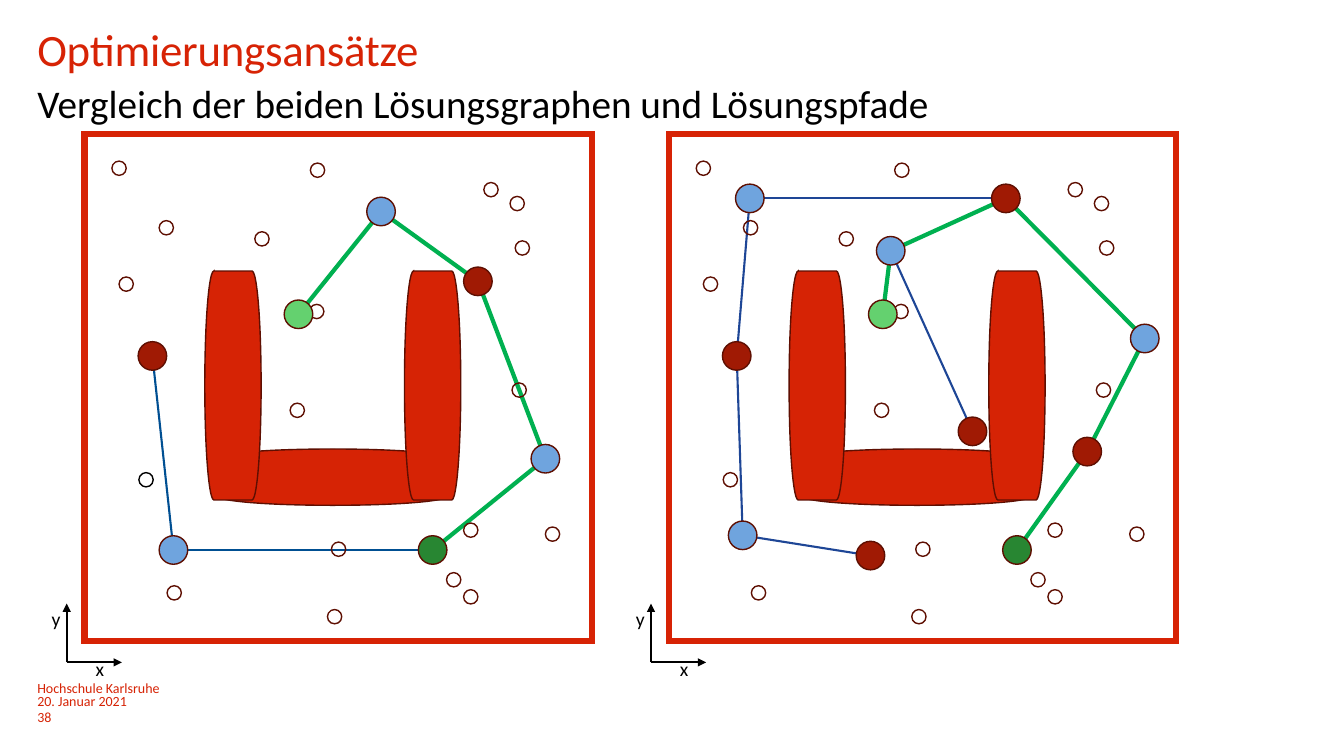
import pptx
import pptx.util
import pptx.dml.color
import pptx.enum.shapes
import pptx.enum.text
import pptx.oxml.ns
import lxml.etree
from pptx.util import Cm

SHAPE = pptx.enum.shapes.MSO_SHAPE
RED, OUTLINE, BLACK = "D62305", "5E0F02", "000000"
BLUE, DARK, START, GOAL = "6FA4DE", "A01A04", "64D16F", "288632"
PATH_GREEN = "00B050"

deck = pptx.Presentation()
deck.slide_width, deck.slide_height = pptx.util.Inches(13.33), pptx.util.Inches(7.5)
page = deck.slides.add_slide(deck.slide_layouts[1])


def color(value):
    return pptx.dml.color.RGBColor.from_string(value)


def write(box, place, text, size, text_color, line_spacing=None):
    box.left, box.top, box.width, box.height = [Cm(length) for length in place]
    frame = box.text_frame
    frame.text = text
    frame.word_wrap = True
    frame.auto_size = pptx.enum.text.MSO_AUTO_SIZE.NONE
    frame.vertical_anchor = pptx.enum.text.MSO_ANCHOR.TOP
    frame.margin_left = frame.margin_top = frame.margin_right = frame.margin_bottom = 0
    para = frame.paragraphs[0]
    properties = para._p.get_or_add_pPr()
    properties.set("marL", "0")
    properties.set("indent", "0")
    lxml.etree.SubElement(properties, pptx.oxml.ns.qn("a:buNone"))
    para.alignment = pptx.enum.text.PP_ALIGN.LEFT
    para.space_before = pptx.util.Pt(0)
    if line_spacing:
        para.line_spacing = pptx.util.Pt(line_spacing)
    para.font.name = "Calibri"
    para.font.size = pptx.util.Pt(size)
    para.font.color.rgb = color(text_color)


# Title with slightly tight letters, subtitle and footer
title = page.shapes.title
write(title, (0.94, 0.84, 30.3, 1.1), "Optimierungsansätze", 32, "D72305", 30)
title.text_frame.paragraphs[0].runs[0]._r.get_or_add_rPr().set("spc", "-20")
write(page.placeholders[1], (0.94, 2.01, 24.77, 1.2),
      "Vergleich der beiden Lösungsgraphen und Lösungspfade", 28, BLACK)
footer = [("Hochschule Karlsruhe", 17.12), ("20. Januar 2021", 17.46), ("38", 17.86)]
for text, top in footer:
    write(page.shapes.add_textbox(0, 0, 0, 0), (0.94, top, 7.62, 0.38), text, 10, RED)

# Sampled points, the same in both panels (centres in cm)
samples = [
    (4.19, 5.74), (13.08, 9.83), (7.49, 10.34), (7.98, 7.85), (13.16, 6.25),
    (3.68, 12.09), (11.43, 14.61), (13.92, 13.46), (11.86, 15.04), (8.43, 15.54),
    (4.39, 14.94), (8.53, 13.84), (6.6, 6.02), (8, 4.29), (12.37, 4.78),
    (11.86, 13.36), (3.18, 7.16), (3, 4.24), (13.03, 5.13),
]
walls = [(7.67, 9.14, 90), (5.16, 6.83, 0), (10.19, 6.83, 0)]

# Each graph: nodes by name, then the solution path and the other edges
graphs = [
    {
        "shift": 0, "edge color": "004F92", "odd sample": BLACK,
        "nodes": {
            "start": (7.52, 7.92, START), "top": (9.6, 5.33, BLUE),
            "corner": (12.04, 7.09, DARK), "right": (13.74, 11.56, BLUE),
            "goal": (10.9, 13.86, GOAL), "bottom": (4.37, 13.86, BLUE),
            "left": (3.84, 8.97, DARK),
        },
        "solution": ["start", "top", "corner", "right", "goal"],
        "branches": [["left", "bottom", "goal"]],
    },
    {
        "shift": 14.72, "edge color": "1E4696", "odd sample": OUTLINE,
        "nodes": {
            "start": (7.52, 7.92, START), "inner": (7.72, 6.32, BLUE),
            "top": (10.62, 5, DARK), "right": (14.12, 8.53, BLUE),
            "lower": (12.67, 11.38, DARK), "goal": (10.9, 13.86, GOAL),
            "corner": (4.17, 5, BLUE), "left": (3.84, 8.97, DARK),
            "bottom": (3.99, 13.49, BLUE), "end": (7.21, 14, DARK),
            "pocket": (9.78, 10.87, DARK),
        },
        "solution": ["start", "inner", "top", "right", "lower", "goal"],
        "branches": [["top", "corner", "left", "bottom", "end"], ["inner", "pocket"]],
    },
]

for graph in graphs:
    shift, nodes = graph["shift"], graph["nodes"]

    # Edges and axes: start, end, colour, width, arrowhead
    lines = []
    chains = [(chain, graph["edge color"], 1.5) for chain in graph["branches"]]
    chains.append((graph["solution"], PATH_GREEN, 3))
    for chain, line_color, width in chains:
        for first, second in zip(chain, chain[1:]):
            lines.append((nodes[first][:2], nodes[second][:2], line_color, width, False))
    for tip in [(1.68, 15.21), (3.07, 16.69)]:
        lines.append(((1.68, 16.69), tip, BLACK, 1.5, True))
    for (x1, y1), (x2, y2), line_color, width, arrow in lines:
        line = page.shapes.add_connector(
            pptx.enum.shapes.MSO_CONNECTOR.STRAIGHT,
            Cm(x1 + shift), Cm(y1), Cm(x2 + shift), Cm(y2))
        line.line.color.rgb = color(line_color)
        line.line.width = pptx.util.Pt(width)
        if arrow:
            lxml.etree.SubElement(line.line._get_or_add_ln(),
                                  pptx.oxml.ns.qn("a:tailEnd"), type="triangle")
        lxml.etree.SubElement(line._element.spPr, pptx.oxml.ns.qn("a:effectLst"))

    # Frame, walls, samples and nodes: kind, place, turn, fill, line, width
    pieces = [(SHAPE.RECTANGLE, (2.13, 3.38, 12.78, 12.78), 0, None, "D72305", 4.5)]
    for x, y, turn in walls:
        pieces.append((SHAPE.FLOWCHART_TERMINATOR, (x, y, 1.42, 5.77), turn, RED, OUTLINE, 1))
    for x, y in samples:
        ring = graph["odd sample"] if (x, y) == samples[5] else OUTLINE
        pieces.append((SHAPE.OVAL, (x - 0.18, y - 0.18, 0.36, 0.36), 0, None, ring, 1))
    for x, y, fill in nodes.values():
        pieces.append((SHAPE.OVAL, (x - 0.36, y - 0.36, 0.72, 0.72), 0, fill, OUTLINE, 1))
    for kind, (x, y, width, height), turn, fill, outline, weight in pieces:
        piece = page.shapes.add_shape(kind, Cm(x + shift), Cm(y), Cm(width), Cm(height))
        piece.rotation = turn
        piece.shadow.inherit = False
        if fill:
            piece.fill.solid()
            piece.fill.fore_color.rgb = color(fill)
        else:
            piece.fill.background()
        piece.line.color.rgb = color(outline)
        piece.line.width = pptx.util.Pt(weight)
        lxml.etree.SubElement(piece.line._get_or_add_ln(),
                              pptx.oxml.ns.qn("a:miter"), lim="800000")

    # Axis names, clear of the footer
    for name, x, y, width in [("x", 2.41, 16.56, 1.6), ("y", 1.3, 15.29, 0.56)]:
        write(page.shapes.add_textbox(0, 0, 0, 0), (x + shift, y, width, 0.55), name, 14, BLACK)

deck.save("out.pptx")
